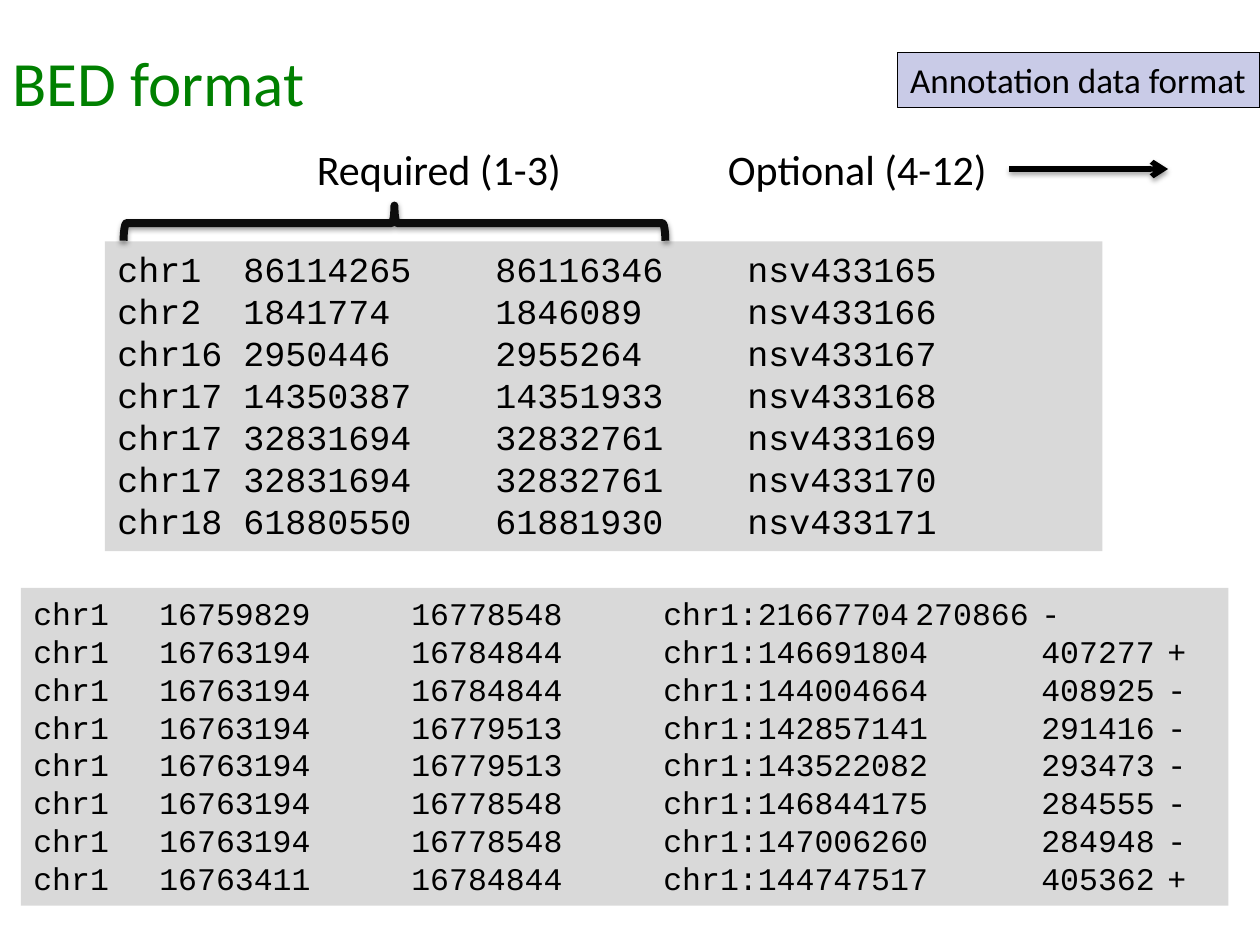
import pptx
import pptx.util
import pptx.dml.color
import pptx.enum.shapes
import pptx.enum.text
import pptx.oxml
from pptx.oxml.ns import nsdecls

THEME = {
    "sans": "Calibri", "mono": "Courier New",
    "title": 36, "label": 24, "body": 20, "small": 18,
    "green": "008000", "black": "000000", "brace": "0D0D0D",
    "panel": "D9D9D9", "tag": "C9CBE7",
}
rgb = pptx.dml.color.RGBColor.from_string

prs = pptx.Presentation()
prs.slide_width, prs.slide_height = pptx.util.Inches(10), pptx.util.Inches(7.5)
COL, ROW = prs.slide_width / 240, prs.slide_height / 180
slide = prs.slides.add_slide(prs.slide_layouts[5])


def grid(x, y, w, h):
    """Turn grid columns and rows into left, top, width, height."""
    return round(x * COL), round(y * ROW), round(w * COL), round(h * ROW)


def write(s, lines, font, size, color, wrap=True):
    """Fill a shape with left-aligned lines in one type style."""
    tf = s.text_frame
    tf.text = "\n".join(lines)
    tf.word_wrap = wrap
    tf.auto_size = pptx.enum.text.MSO_AUTO_SIZE.NONE
    tf.vertical_anchor = pptx.enum.text.MSO_ANCHOR.TOP
    for p in tf.paragraphs:
        p.alignment = pptx.enum.text.PP_ALIGN.LEFT
        for r in p.runs:
            r.font.name, r.font.size = THEME[font], pptx.util.Pt(THEME[size])
            r.font.color.rgb = rgb(THEME[color])


# BED records: name, start, end, then optional fields
variants = [
    ("chr1", 86114265, 86116346, "nsv433165"),
    ("chr2", 1841774, 1846089, "nsv433166"),
    ("chr16", 2950446, 2955264, "nsv433167"),
    ("chr17", 14350387, 14351933, "nsv433168"),
    ("chr17", 32831694, 32832761, "nsv433169"),
    ("chr17", 32831694, 32832761, "nsv433170"),
    ("chr18", 61880550, 61881930, "nsv433171"),
]
pairs = [
    ("chr1", 16759829, 16778548, "chr1:21667704", 270866, "-"),
    ("chr1", 16763194, 16784844, "chr1:146691804", 407277, "+"),
    ("chr1", 16763194, 16784844, "chr1:144004664", 408925, "-"),
    ("chr1", 16763194, 16779513, "chr1:142857141", 291416, "-"),
    ("chr1", 16763194, 16779513, "chr1:143522082", 293473, "-"),
    ("chr1", 16763194, 16778548, "chr1:146844175", 284555, "-"),
    ("chr1", 16763194, 16778548, "chr1:147006260", 284948, "-"),
    ("chr1", 16763411, 16784844, "chr1:144747517", 405362, "+"),
]

# Grey record panels, with a tab stop at every inch
for records, box, size in [(variants, (20, 46, 190, 59), "body"),
                           (pairs, (4, 112, 230, 60.5), "small")]:
    s = slide.shapes.add_textbox(*grid(*box))
    s.fill.solid()
    s.fill.fore_color.rgb = rgb(THEME["panel"])
    write(s, ["\t".join(map(str, rec)) for rec in records], "mono", size, "black")
    stops = "".join(f'<a:tab pos="{pptx.util.Inches(n)}" algn="l"/>' for n in range(1, 10))
    for p in s.text_frame.paragraphs:
        p._p.get_or_add_pPr().append(
            pptx.oxml.parse_xml(f'<a:tabLst {nsdecls("a")}>{stops}</a:tabLst>'))

# Title
title = slide.shapes.title
title.left, title.top, title.width, title.height = grid(0, 7, 64, 17)
write(title, ["BED format"], "sans", "title", "green", wrap=False)

# Topic tag at the right edge
tag = slide.shapes.add_textbox(*grid(171, 10, 69, 10.5))
tag.fill.solid()
tag.fill.fore_color.rgb = rgb(THEME["tag"])
tag.line.color.rgb = rgb(THEME["black"])
tag.line.width = pptx.util.Pt(0.75)
write(tag, ["Annotation data format"], "sans", "body", "black")

# Column group labels
for text, x, w in [("Required (1-3)", 58, 52), ("Optional (4-12)", 136.3, 54.7)]:
    s = slide.shapes.add_textbox(*grid(x, 26.2, w, 12))
    write(s, [text], "sans", "label", "black", wrap=False)

# Brace over the required columns
brace = slide.shapes.add_shape(pptx.enum.shapes.MSO_SHAPE.RIGHT_BRACE,
                               *grid(71.8, -9.1, 6.7, 103.2))
brace.rotation = 270
brace.fill.background()
brace.line.color.rgb = rgb(THEME["brace"])
brace.line.width = pptx.util.Pt(4.5)

# Arrow towards the optional columns
x1, y, length, _ = grid(192.2, 32.2, 30.3, 0)
arrow = slide.shapes.add_connector(pptx.enum.shapes.MSO_CONNECTOR.STRAIGHT,
                                   x1, y, x1 + length, y)
arrow.line.color.rgb = rgb(THEME["black"])
arrow.line.width = pptx.util.Pt(3)
arrow.line._get_or_add_ln().append(
    pptx.oxml.parse_xml(f'<a:tailEnd {nsdecls("a")} type="arrow"/>'))

# Soft shadow below the brace and the arrow
for s in (brace, arrow):
    s._element.spPr.append(pptx.oxml.parse_xml(
        f'<a:effectLst {nsdecls("a")}><a:outerShdw blurRad="{pptx.util.Pt(3.1)}" '
        f'dist="{pptx.util.Pt(1.6)}" dir="5400000" rotWithShape="0">'
        f'<a:srgbClr val="{THEME["black"]}"><a:alpha val="38000"/></a:srgbClr>'
        '</a:outerShdw></a:effectLst>'))

prs.save("out.pptx")
